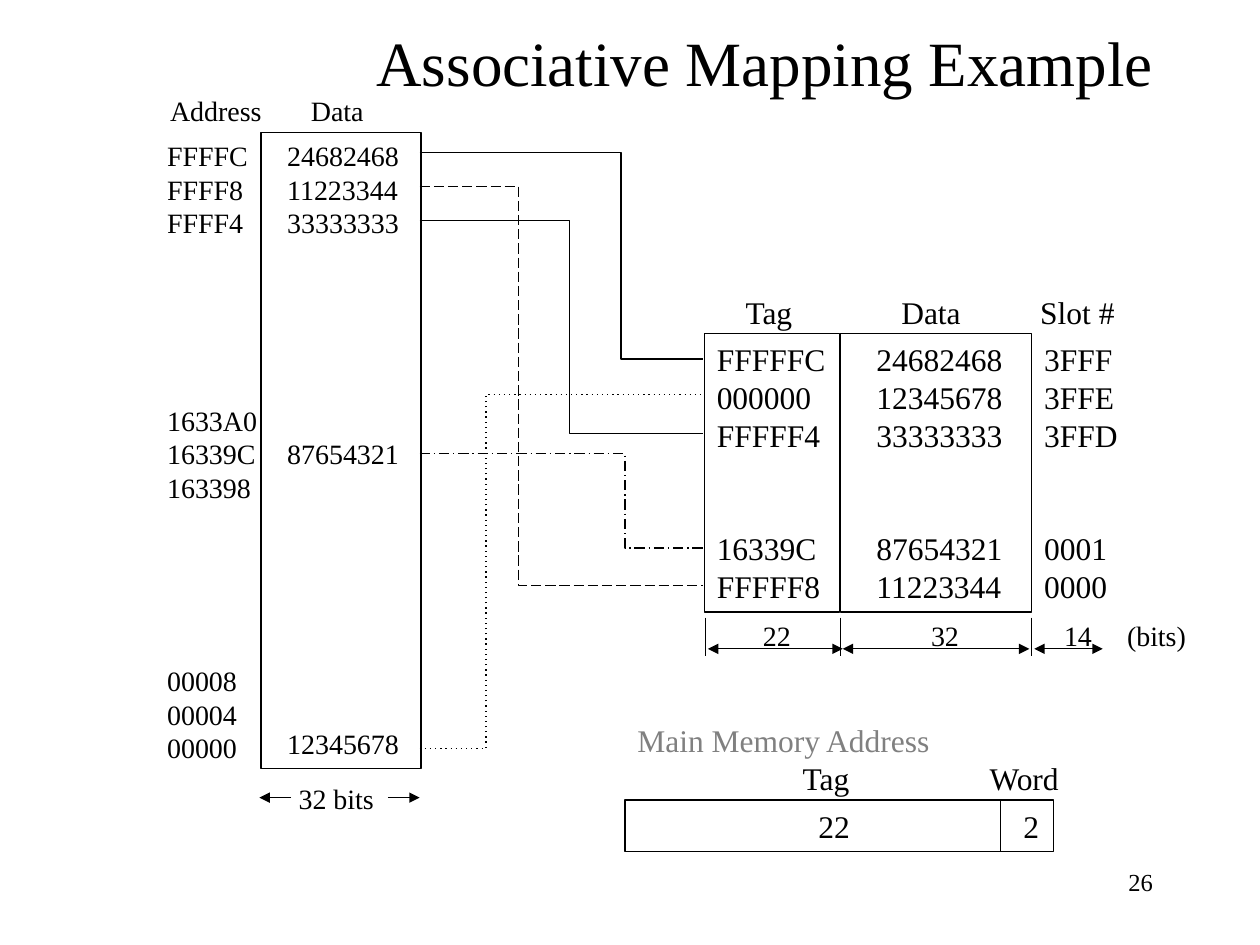
from pptx import Presentation
from pptx.dml.color import RGBColor
from pptx.enum.shapes import MSO_CONNECTOR, MSO_SHAPE
from pptx.enum.text import MSO_ANCHOR as Anchor, PP_ALIGN as Align
from pptx.oxml.xmlchemy import OxmlElement as Element
from pptx.util import Cm, Pt

FONT = "Times New Roman"
BLACK, GREY = "000000", "808080"
INSET = 0.25


def color(value):
    return RGBColor.from_string(value)


def lengths(*values):
    return [Cm(value) for value in values]


def add_child(parent, tag, **attributes):
    child = Element(tag)
    for name, value in attributes.items():
        child.set(name, value)
    parent.append(child)
    return child


def set_tabs(para, stops):
    tab_list = add_child(para._p.get_or_add_pPr(), "a:tabLst")
    for stop in stops:
        add_child(tab_list, "a:tab", pos=str(Cm(stop)), algn="l")


def write(shape, rows, size, align=Align.LEFT, tabs=(), indent=0, anchor=Anchor.TOP):
    """Fill a shape with rows of (text, points of space before, colour)."""
    frame = shape.text_frame
    frame_format = {"word_wrap": True, "vertical_anchor": anchor,
                    "margin_left": Cm(INSET + indent), "margin_right": Cm(INSET),
                    "margin_top": Cm(0.13), "margin_bottom": Cm(0.13)}
    for name, value in frame_format.items():
        setattr(frame, name, value)
    for index, (text, gap, tone) in enumerate(rows):
        para = frame.add_paragraph() if index else frame.paragraphs[0]
        para_format = {"alignment": align, "line_spacing": Pt(1.2 * size),
                       "space_before": Pt(gap)}
        for name, value in para_format.items():
            setattr(para, name, value)
        if tabs:
            set_tabs(para, tabs)
        span = para.add_run()
        span.text = text
        span.font.name, span.font.size = FONT, Pt(size)
        span.font.color.rgb = color(tone)


def column(*blocks):
    """Rows from blocks of (gap above the block, its lines)."""
    return [(line, 0 if index else gap, BLACK)
            for gap, lines in blocks for index, line in enumerate(lines.split())]


def add_text(slide, place, rows, size, **options):
    box = slide.shapes.add_textbox(*lengths(*place))
    write(box, rows, size, **options)


def add_label(slide, place, text, size, **options):
    add_text(slide, place, [(text, 0, BLACK)], size, **options)


def set_outline(shape, dash=None):
    shape.line.color.rgb = color(BLACK)
    shape.line.width = Pt(0.75)
    outline = shape.line._get_or_add_ln()
    if dash:
        add_child(outline, "a:prstDash", val=dash)
    return outline


def add_box(slide, place, rows, size, **options):
    box = slide.shapes.add_shape(MSO_SHAPE.RECTANGLE, *lengths(*place))
    box.shadow.inherit = False
    box.fill.background()
    set_outline(box)
    write(box, rows, size, **options)


def add_line(slide, start, end, arrows=()):
    line = slide.shapes.add_connector(MSO_CONNECTOR.STRAIGHT, *lengths(*start, *end))
    outline = set_outline(line)
    for tag in arrows:
        add_child(outline, tag, type="triangle")
    add_child(line._element.spPr, "a:effectLst")


def add_route(slide, start_y, bend_x, end_y, dash=None):
    """Stepped line from a memory word to its cache slot."""
    left, right = 8.46, 14.17
    builder = slide.shapes.build_freeform(*lengths(left, start_y))
    corners = [(bend_x, start_y), (bend_x, end_y), (right, end_y)]
    builder.add_line_segments([lengths(*corner) for corner in corners], close=False)
    route = builder.convert_to_shape()
    route.shadow.inherit = False
    route.fill.background()
    set_outline(route, dash)


def add_memory(slide):
    add_label(slide, (3.18, 1.75, 4.42, 0.94), "Address\tData", 16, tabs=[2.84])
    add_text(slide, (3.12, 2.67, 2.4, 12.9),
             column((0, "FFFFC FFFF8 FFFF4"), (93.6, "1633A0 16339C 163398"),
                    (91.2, "00008 00004 00000")), 16)
    add_box(slide, (5.26, 2.67, 3.23, 12.83),
            column((0, "24682468 11223344 33333333"), (112.8, "87654321"),
                   (146.4, "12345678")), 16, indent=0.28)
    # Word width
    add_label(slide, (5.77, 15.62, 2.2, 0.94), "32 bits", 16)
    for start, end in ((5.87, 5.23), (7.82, 8.46)):
        add_line(slide, (start, 16.08), (end, 16.08), ["a:tailEnd"])


def add_cache(slide):
    top, height, gap = 6.73, 5.61, 43.2
    add_label(slide, (14.78, 5.77, 8.4, 1.02), "Tag\tData\tSlot #", 18, tabs=[3.14, 5.94])
    add_box(slide, (14.2, top, 2.72, height),
            column((0, "FFFFFC 000000 FFFFF4"), (gap, "16339C FFFFF8")), 18)
    add_box(slide, (16.94, top, 3.86, height),
            column((0, "24682468 12345678 33333333"), (gap, "87654321 11223344")),
            18, indent=0.48)
    add_text(slide, (20.8, top, 2.1, height),
             column((0, "3FFF 3FFE 3FFD"), (gap, "0001 0000")), 18)
    # Field widths
    for x in (14.22, 16.94, 20.8):
        add_line(slide, (x, 12.45), (x, 13.23))
    add_label(slide, (14.99, 12.34, 9.4, 0.94), "\t22\t32\t14\t(bits)", 16,
              tabs=[0.14, 3.53, 6.21, 7.48])
    for start, end in ((14.27, 16.99), (16.99, 20.75), (20.85, 22.23)):
        add_line(slide, (start, 13.08), (end, 13.08), ["a:headEnd", "a:tailEnd"])


def add_address_format(slide):
    left, top, height = 12.6, 16.13, 1.04
    add_text(slide, (left, 14.4, 9.14, 1.78),
             [("Main Memory Address", 0, GREY), ("\tTag\tWord", 0, BLACK)],
             18, tabs=[3.33, 7.1])
    add_box(slide, (left, top, 8.64, height), [("\t22\t2", 0, BLACK)], 18,
            tabs=[3.65, 7.78])
    add_line(slide, (20.17, top), (20.17, top + height))


def main():
    deck = Presentation()
    deck.slide_width, deck.slide_height = lengths(25.4, 19.05)
    slide = deck.slides.add_slide(deck.slide_layouts[5])

    # Title and page number
    title = slide.shapes.title
    title.left, title.top, title.width, title.height = lengths(1.9, 0, 21.6, 2.49)
    write(title, [("Associative Mapping Example", 0, BLACK)], 36,
          align=Align.RIGHT, anchor=Anchor.MIDDLE)
    add_label(slide, (18.21, 17.35, 5.28, 1.27), "26", 14, align=Align.RIGHT)

    add_memory(slide)
    add_cache(slide)

    # Memory words and the slots that hold them
    routes = [(3.07, 12.52, 7.24, None), (15.09, 9.8, 7.95, "dot"),
              (3.76, 10.46, 11.81, "lgDash"), (9.14, 12.6, 11.05, "lgDashDot"),
              (4.45, 11.48, 8.74, None)]
    for start_y, bend_x, end_y, dash in routes:
        add_route(slide, start_y, bend_x, end_y, dash)

    add_address_format(slide)
    deck.save("out.pptx")


if __name__ == "__main__":
    main()
